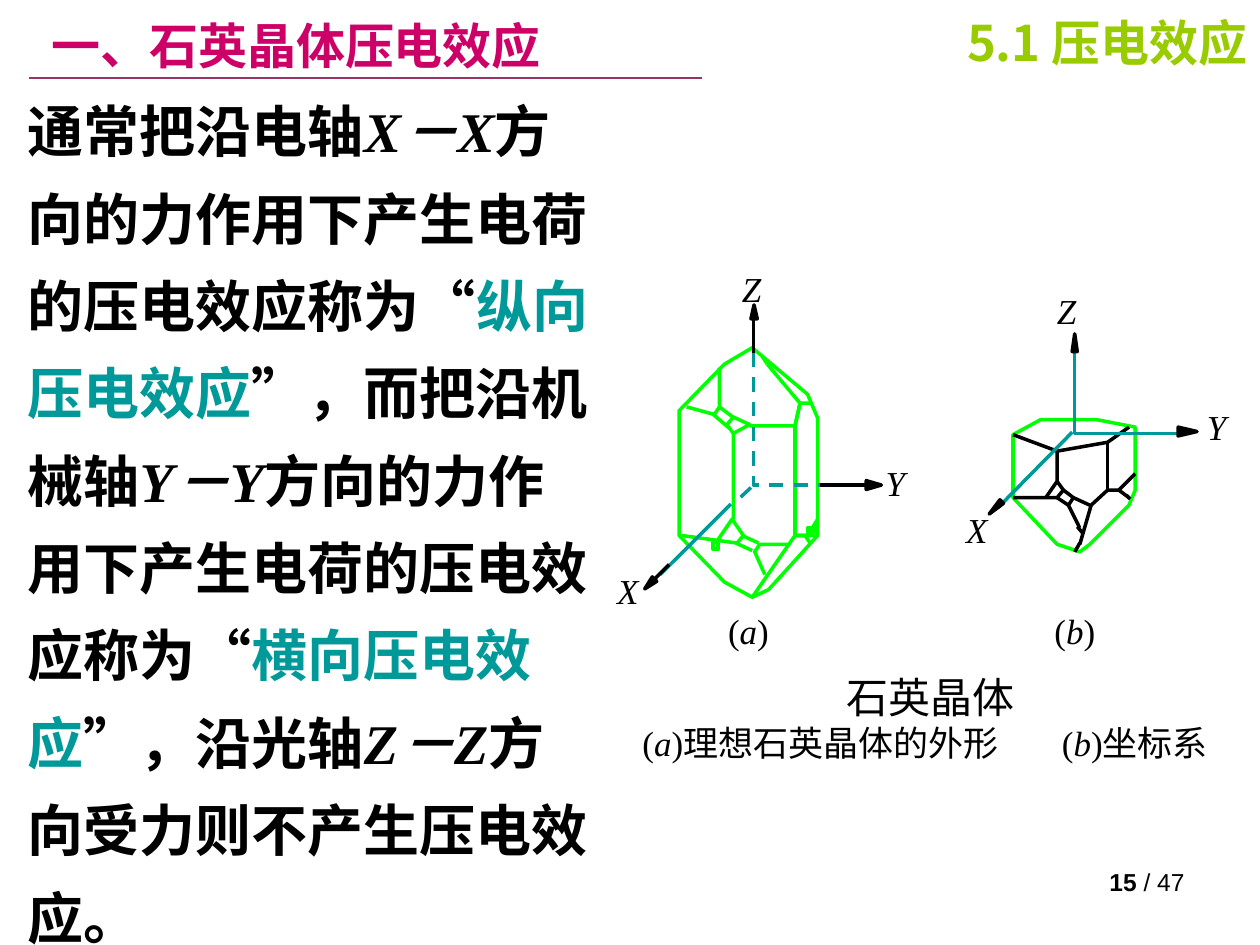
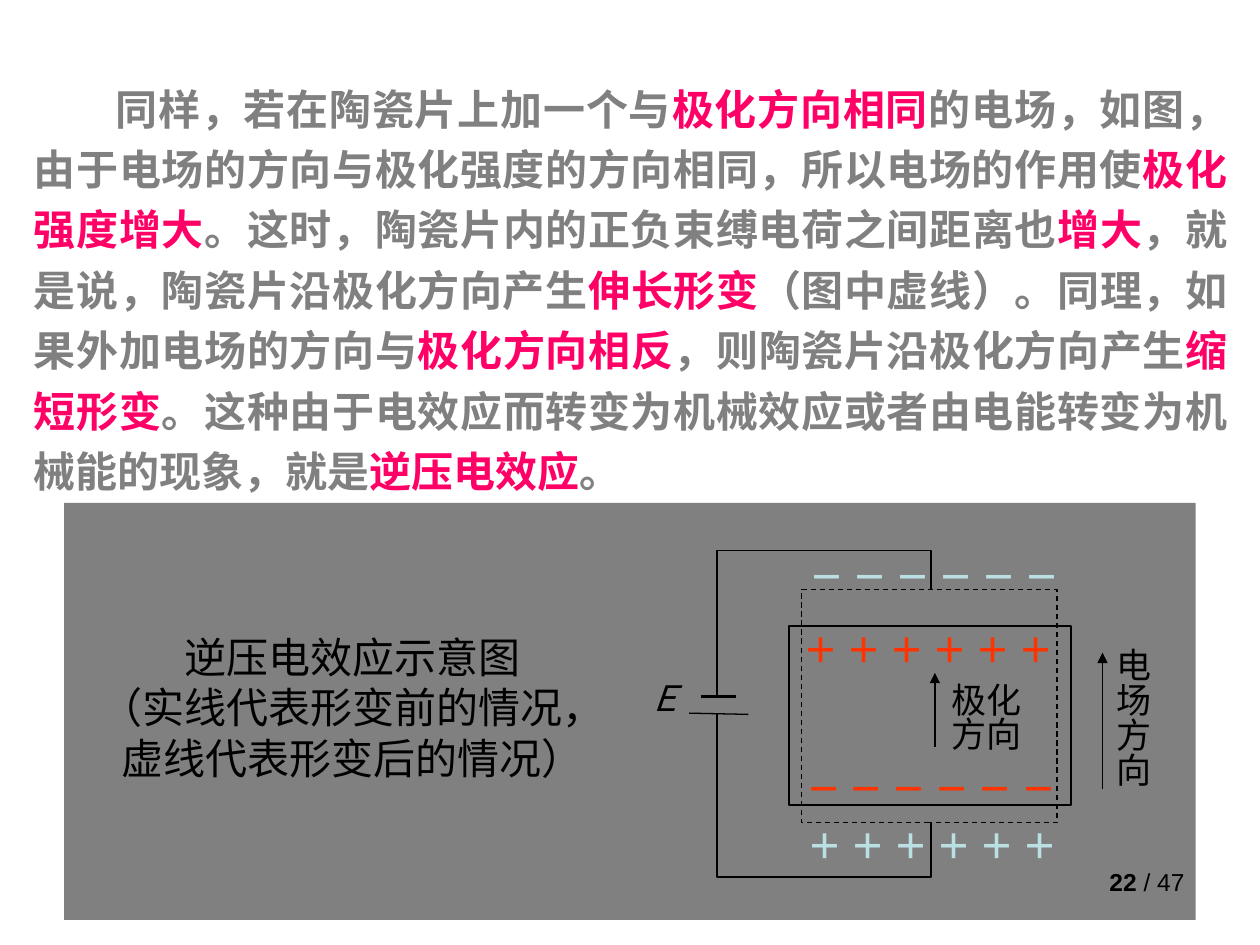
from pptx import Presentation
from pptx.dml.color import RGBColor
from pptx.enum.dml import MSO_LINE
from pptx.enum.shapes import MSO_CONNECTOR, MSO_SHAPE
from pptx.enum.text import MSO_ANCHOR, PP_ALIGN
from pptx.oxml.ns import qn
from pptx.util import Inches, Pt
from lxml import etree

LEFT, MID, RIGHT, JUST = (PP_ALIGN.LEFT, PP_ALIGN.CENTER, PP_ALIGN.RIGHT,
                          PP_ALIGN.JUSTIFY)
TOP, CENTER = MSO_ANCHOR.TOP, MSO_ANCHOR.MIDDLE
DASH, STRAIGHT = MSO_LINE.DASH, MSO_CONNECTOR.STRAIGHT
RECT, TRI = MSO_SHAPE.RECTANGLE, MSO_SHAPE.ISOSCELES_TRIANGLE

HAN, ROMAN, SANS = "Noto Sans CJK SC", "Times New Roman", "Arial"
BLACK, GRAY, GREEN, TEAL = "000000", "808080", "00FF00", "009999"
ROSE, LIME, PLUM, PINK = "CC0066", "99CC00", "993366", "FF0066"
RED, ICE = "FF3300", "BBE0E3"
PAGES = 47

AXIS = {"font": ROMAN, "italic": True}
SLANT = {"italic": True}
KEY = {"color": TEAL}
HOT = {"color": PINK}


def rgb(code):
    """Turn a hex string into a colour."""
    return RGBColor.from_string(code)


def style(font, size=None, color=None, name=None, bold=None, italic=None):
    """Set the given font traits."""
    if size:
        font.size = Pt(size)
    if color:
        font.color.rgb = rgb(color)
    if bold is not None:
        font.bold = bold
    if italic is not None:
        font.italic = italic
    if name:
        font.name = name


def east(props):
    """Name the East Asian font, right after the Latin one."""
    mark = etree.Element(qn("a:ea"), typeface=HAN)
    props.find(qn("a:latin")).addnext(mark)


def text(slide, box, paras, size, color=BLACK, font=ROMAN, bold=False,
         italic=False, align=JUST, anchor=TOP, inset=True, space=None):
    """Add a text box; a run is a string or a (string, traits) pair."""
    shape = slide.shapes.add_textbox(*map(Inches, box))
    frame = shape.text_frame
    frame.word_wrap = True
    frame.vertical_anchor = anchor
    if not inset:
        frame.margin_left = frame.margin_right = 0
        frame.margin_top = frame.margin_bottom = 0
    for i, runs in enumerate(paras):
        para = frame.add_paragraph() if i else frame.paragraphs[0]
        para.alignment = align
        if space:
            para.line_spacing = space
        style(para.font, size, color, font, bold, italic)
        east(para._p.pPr.find(qn("a:defRPr")))
        for item in [runs] if isinstance(runs, str) else runs:
            words, traits = (item, {}) if isinstance(item, str) else item
            run = para.add_run()
            run.text = words
            own = dict(traits)
            name = own.pop("font", None)
            style(run.font, name=name, **own)
            if name:
                east(run._r.rPr)
    return frame


def stroke(shape, color, width, dash=None):
    """Style an outline or a line."""
    shape.line.color.rgb = rgb(color)
    shape.line.width = Pt(width)
    if dash:
        shape.line.dash_style = dash


def line(slide, start, end, color=BLACK, width=2, dash=None, arrow=False):
    """Draw a straight line, with an arrowhead at its end if asked."""
    link = slide.shapes.add_connector(
        STRAIGHT, *map(Inches, (*start, *end)))
    stroke(link, color, width, dash)
    props = link._element.spPr
    if arrow:
        etree.SubElement(props.find(qn("a:ln")), qn("a:tailEnd"),
                         type="triangle")
    etree.SubElement(props, qn("a:effectLst"))


def path(slide, points, color=BLACK, width=2, dash=None, close=False):
    """Draw an unfilled outline through the points."""
    if len(points) == 2:
        line(slide, *points, color, width, dash)
        return
    first, *rest = [(Inches(x), Inches(y)) for x, y in points]
    pen = slide.shapes.build_freeform(*first)
    pen.add_line_segments(rest, close=close)
    shape = pen.convert_to_shape()
    shape.shadow.inherit = False
    shape.fill.background()
    stroke(shape, color, width, dash)


def block(slide, kind, box, fill=None, color=None, width=2, dash=None,
          turn=0):
    """Add a preset shape."""
    shape = slide.shapes.add_shape(kind, *map(Inches, box))
    shape.shadow.inherit = False
    shape.rotation = turn
    if fill:
        shape.fill.solid()
        shape.fill.fore_color.rgb = rgb(fill)
    else:
        shape.fill.background()
    if color:
        stroke(shape, color, width, dash)
    else:
        shape.line.fill.background()


def tip(slide, box, turn):
    """Add the black head of an axis."""
    block(slide, TRI, box, BLACK, BLACK, turn=turn)


def label(slide, x, y, runs):
    """Add a figure label."""
    text(slide, (x, y, 0.84, 0.43), [runs], 20)


def footer(slide, page):
    """Add the page number."""
    text(slide, (7.17, 6.83, 2.33, 0.52),
         [[(f"{page} ", {"bold": True}), f"/ {PAGES}"]], 14, font=SANS,
         align=RIGHT)


def ideal(slide):
    """Draw the ideal crystal with its three axes."""
    path(slide, [(5.39, 3.26), (5.75, 2.89), (5.97, 2.76), (6.41, 3.13),
                 (6.49, 3.32), (6.49, 4.25), (6.1, 4.68), (5.97, 4.74),
                 (5.75, 4.62), (5.39, 4.25)], GREEN, close=True)
    edges = [
        [(6.48, 4.18), (6.44, 4.25), (6.31, 4.25), (6.31, 3.38),
         (6.35, 3.2), (6.44, 3.2)],
        [(6.43, 4.31), (6.39, 4.25), (6.31, 4.25), (5.97, 4.74)],
        [(6.07, 4.56), (5.99, 4.38), (6.03, 4.32), (6.25, 4.32)],
        [(5.82, 4.12), (5.82, 3.44), (5.95, 3.37), (5.82, 3.31),
         (5.77, 3.37), (5.82, 3.44)],
        [(5.71, 2.92), (5.71, 3.23), (5.67, 3.29), (5.45, 3.23)],
        [(5.95, 3.38), (6.31, 3.38), (6.35, 3.2), (6.09, 2.89)],
        [(5.41, 4.25), (5.85, 4.31), (5.9, 4.25), (5.81, 4.12),
         (5.68, 4.31)],
        [(5.84, 4.31), (5.97, 4.37)], [(5.89, 4.25), (6.02, 4.31)],
        [(6.09, 2.89), (6.05, 2.83)], [(5.65, 3.28), (5.79, 3.4)],
        [(5.71, 3.23), (5.83, 3.32)], [(6.41, 4.25), (6.49, 4.12)],
    ]
    for edge in edges:
        path(slide, edge, GREEN)
    block(slide, RECT, (5.66, 4.3, 0.04, 0.06), color=GREEN)
    block(slide, RECT, (6.41, 4.19, 0.07, 0.06), color=GREEN)

    path(slide, [(5.98, 2.8), (5.98, 3.85), (6.73, 3.85)], TEAL, dash=DASH)
    line(slide, (5.96, 3.87), (5.83, 3.99), TEAL, dash=DASH)
    line(slide, (5.8, 4), (5.24, 4.56), TEAL)
    line(slide, (5.31, 4.48), (5.19, 4.6))
    line(slide, (6.51, 3.85), (6.87, 3.85))
    line(slide, (5.98, 2.8), (5.98, 2.54))
    tip(slide, (5.13, 4.58, 0.05, 0.11), 225)
    tip(slide, (6.9, 3.79, 0.07, 0.12), 90)
    tip(slide, (5.96, 2.42, 0.05, 0.11), 0)


def axes(slide):
    """Draw the cut crystal with its coordinate system."""
    path(slide, [(8.04, 3.45), (8.04, 3.95), (8.39, 4.32), (8.57, 4.38),
                 (8.65, 4.32), (8.96, 4.01), (9.01, 3.89), (9.01, 3.39),
                 (8.7, 3.33), (8.26, 3.33)], GREEN, close=True)
    edges = [
        [(8.04, 3.45), (8.39, 3.58), (8.79, 3.51), (8.96, 3.39)],
        [(8.39, 3.58), (8.39, 3.82), (8.3, 3.95), (8.04, 3.95)],
        [(8.3, 3.95), (8.39, 3.95), (8.44, 3.89), (8.39, 3.82)],
        [(8.96, 3.95), (8.88, 3.89), (8.79, 3.89), (8.66, 4.01),
         (8.57, 4.32)],
        [(8.65, 4.01), (8.52, 3.95), (8.48, 4.01), (8.57, 4.19)],
        [(8.88, 3.89), (9.01, 3.76)], [(8.79, 3.89), (8.79, 3.52)],
        [(8.44, 3.89), (8.52, 3.95)], [(8.39, 3.95), (8.48, 4.01)],
        [(8.57, 4.31), (8.53, 4.38)], [(8.55, 4.18), (8.6, 4.24)],
        [(8.94, 3.93), (8.97, 3.96)],
    ]
    for edge in edges:
        path(slide, edge)
    path(slide, [(8.53, 2.76), (8.53, 3.44), (9.37, 3.44)], TEAL)
    line(slide, (8.51, 3.43), (7.92, 4.03), TEAL)
    tip(slide, (9.39, 3.35, 0.07, 0.15), 90)
    tip(slide, (7.88, 3.96, 0.04, 0.14), 225)
    tip(slide, (8.51, 2.65, 0.04, 0.14), 0)


def quartz(slide):
    """Build the slide on the quartz crystal."""
    text(slide, (0.31, 0.08, 6.09, 0.55), ["一、石英晶体压电效应"], 28, ROSE,
         HAN, True, align=LEFT, anchor=CENTER)
    text(slide, (4.67, 0.08, 5.33, 0.5), ["5.1 压电效应"], 28, LIME, HAN,
         True, align=RIGHT, anchor=CENTER)
    line(slide, (0.23, 0.62), (5.57, 0.62), PLUM, 0.75)
    ideal(slide)
    axes(slide)
    for name, x, y in [("Z", 5.79, 2.07), ("X", 4.8, 4.47),
                       ("Y", 6.93, 3.61), ("Z", 8.29, 2.25),
                       ("Y", 9.48, 3.17), ("X", 7.57, 3.99)]:
        label(slide, x, y, [(name, SLANT)])
    for name, x in [("a", 5.68), ("b", 8.27)]:
        label(slide, x, 4.79, ["(", (name, SLANT), ")"])

    note = text(slide, (5, 5.28, 4.77, 0.87),
                ["石英晶体", ["(", ("a", SLANT), ")理想石英晶体的外形\t(",
                          ("b", SLANT), ")坐标系"]], 20)
    head, parts = note.paragraphs
    head.alignment = MID
    head.font.size = Pt(24)
    parts.alignment = LEFT
    tabs = etree.Element(qn("a:tabLst"))
    etree.SubElement(tabs, qn("a:tab"), pos=str(Inches(3.33)), algn="l")
    parts._p.pPr.find(qn("a:defRPr")).addprevious(tabs)

    force = "方向的力作用下产生电荷的压电效应称为“"
    x, y, z = ([(name, AXIS), ("－", SLANT), (name, AXIS)]
               for name in "XYZ")
    text(slide, (0.12, 0.56, 4.72, 6.34),
         [["通常把沿电轴", *x, force, ("纵向压电效应", KEY),
           "”，而把沿机械轴", *y, force, ("横向压电效应", KEY),
           "”，沿光轴", *z, "方向受力则不产生压电效应。"]],
         32, font=HAN, bold=True, align=LEFT, space=1.3)
    footer(slide, 15)


def inverse(slide):
    """Build the slide on the inverse effect."""
    block(slide, RECT, (0.51, 3.99, 8.98, 3.31), GRAY)
    body = text(
        slide, (0.17, 0.53, 9.67, 3.45),
        [["同样，若在陶瓷片上加一个与", ("极化方向相同", HOT),
          "的电场，如图，由于电场的方向与极化强度的方向相同，所以电场的作用使",
          ("极化强度增大", HOT), "。这时，陶瓷片内的正负束缚电荷之间距离也",
          ("增大", HOT), "，就是说，陶瓷片沿极化方向产生", ("伸长形变", HOT),
          "（图中虚线）。同理，如果外加电场的方向与", ("极化方向相反", HOT),
          "，则陶瓷片沿极化方向产生", ("缩短形变", HOT),
          "。这种由于电效应而转变为机械效应或者由电能转变为机械能的现象，就是",
          ("逆压电效应", HOT), "。"]], 24, GRAY, bold=True, space=1.2)
    body.paragraphs[0]._p.pPr.set("indent", str(Inches(0.65)))
    text(slide, (0.59, 5.01, 4.42, 1.25),
         ["逆压电效应示意图", "（实线代表形变前的情况，", "虚线代表形变后的情况）"],
         24, align=MID, inset=False)

    block(slide, RECT, (6.26, 4.97, 2.24, 1.42), color=BLACK, width=1.25)
    block(slide, RECT, (6.36, 4.68, 2.03, 1.85), color=BLACK, width=0.75,
          dash=DASH)
    line(slide, (5.47, 5.66), (5.94, 5.67), width=0.75)
    line(slide, (5.56, 5.53), (5.84, 5.53), width=1.5)
    for pole, rail, plate in [(5.53, 4.37, 4.68), (5.67, 6.96, 6.53)]:
        path(slide, [(5.69, pole), (5.69, rail), (7.39, rail),
                     (7.39, plate)], width=0.75)
    for sign, x, y, color in [("－", 6.3, 4.41, ICE), ("＋", 6.25, 4.99, RED),
                              ("＋", 6.28, 6.54, ICE),
                              ("－", 6.27, 6.09, RED)]:
        text(slide, (x, y, 2.24, 0.43), [" ".join(sign * 6)], 20, color,
             bold=True, align=MID, inset=False)
    text(slide, (7.55, 5.45, 0.56, 0.56), ["极化方向"], 20, inset=False,
         space=0.8)
    field = text(slide, (8.8, 5.14, 0.36, 1.39), ["电场方向"], 20,
                 inset=False)
    field._txBody.bodyPr.set("vert", "eaVert")
    text(slide, (5.14, 5.37, 0.33, 0.43), ["Ｅ"], 20, italic=True,
         inset=False)
    line(slide, (7.42, 5.93), (7.42, 5.34), width=0.75, arrow=True)
    line(slide, (8.75, 6.26), (8.75, 5.18), width=0.75, arrow=True)
    footer(slide, 22)


def main():
    """Build and save the deck."""
    deck = Presentation()
    deck.slide_width, deck.slide_height = Inches(10), Inches(7.5)
    for build in (quartz, inverse):
        build(deck.slides.add_slide(deck.slide_layouts[6]))
    deck.save("out.pptx")


main()
